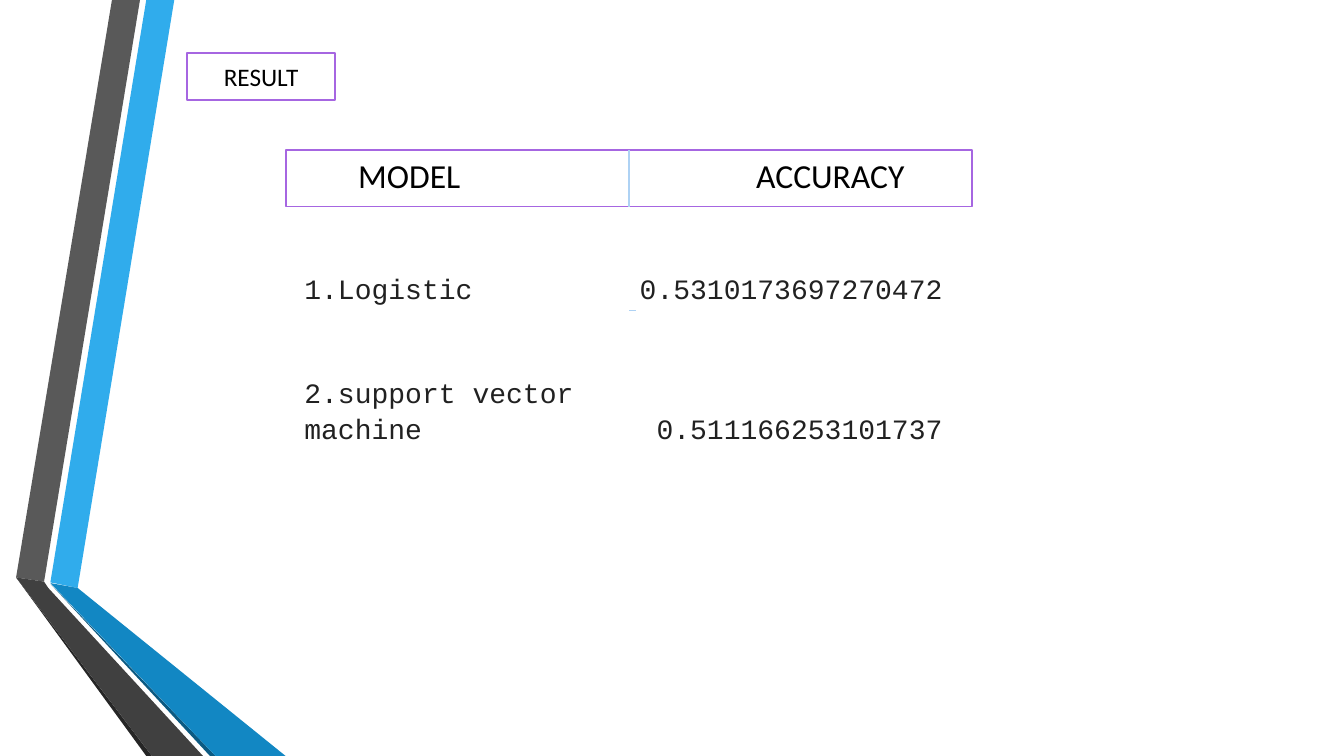
from dataclasses import dataclass

from lxml.etree import SubElement
from pptx import Presentation
from pptx.dml.color import RGBColor
from pptx.enum.shapes import MSO_CONNECTOR, MSO_SHAPE
from pptx.enum.text import MSO_ANCHOR, MSO_AUTO_SIZE, PP_ALIGN
from pptx.oxml.ns import qn
from pptx.util import Pt


@dataclass(frozen=True)
class Theme:
    white: str = "FFFFFF"
    black: str = "000000"
    code_text: str = "212121"
    outline: str = "A666E1"
    divider: str = "AED2F4"
    body_font: str = "Calibri"
    code_font: str = "Courier New"
    label_size: int = 18
    header_size: int = 24
    row_size: int = 20


theme = Theme()


def write(para, text, *, size, font=theme.body_font, color=theme.black,
          align=PP_ALIGN.LEFT, line=1.0, before=0, tabs=()):
    """Fill a paragraph; tabs holds (position in points, alignment) pairs."""
    para.text = text
    para.alignment = align
    para.line_spacing = line
    para.space_before = Pt(before)
    para.font.size = Pt(size)
    for span in para.runs:
        span.font.name = font
        span.font.size = Pt(size)
        span.font.color.rgb = RGBColor.from_string(color)
    if tabs:
        properties = para._p.get_or_add_pPr()
        tab_list = properties.makeelement(qn("a:tabLst"), {})
        for position, side in tabs:
            SubElement(tab_list, qn("a:tab"), pos=str(Pt(position)), algn=side)
        properties.insert_element_before(tab_list, "a:defRPr", "a:extLst")


deck = Presentation()
deck.slide_width, deck.slide_height = Pt(960), Pt(540)
page = deck.slides.add_slide(deck.slide_layouts[5])

# Folded ribbons along the left edge
ribbons = [
    ("30ACEC", [(36, 416), (55.5, 420), (124.5, 0), (104.5, 0)]),
    ("595959", [(100, 0), (80, 0), (11.5, 412.5), (31.5, 415.5)]),
    ("262626", [(11.5, 412.5), (104.5, 540), (108.5, 540)]),
    ("0C5A82", [(36, 417), (150, 540), (154, 540)]),
    ("1287C3", [(36, 416.5), (154, 540), (204, 540), (55.5, 420)]),
    ("404040", [(145, 540), (34.5, 420), (31.5, 415.5), (11.5, 412.5),
                (108.5, 540)]),
]
for color, corners in ribbons:
    points = [(Pt(x), Pt(y)) for x, y in corners]
    builder = page.shapes.build_freeform(*points[0])
    builder.add_line_segments(points[1:], close=True)
    ribbon = builder.convert_to_shape()
    ribbon.shadow.inherit = False
    ribbon.fill.solid()
    ribbon.fill.fore_color.rgb = RGBColor.from_string(color)
    ribbon.line.fill.background()

# Result label and table header
outlined = []
for kind, left, top, width, height in [
    (MSO_SHAPE.MATH_MINUS, 114.5, -17.3, 144, 144),
    (MSO_SHAPE.RECTANGLE, 204.5, 107.3, 489.6, 40.3),
]:
    box = page.shapes.add_shape(kind, Pt(left), Pt(top), Pt(width), Pt(height))
    box.shadow.inherit = False
    box.fill.solid()
    box.fill.fore_color.rgb = RGBColor.from_string(theme.white)
    box.line.color.rgb = RGBColor.from_string(theme.outline)
    box.line.width = Pt(1.25)
    outlined.append(box)
label, header = outlined
label.text_frame.vertical_anchor = MSO_ANCHOR.MIDDLE
write(label.text_frame.paragraphs[0], "RESULT", size=theme.label_size,
      align=PP_ALIGN.CENTER)
header.text_frame.vertical_anchor = MSO_ANCHOR.TOP
write(header.text_frame.paragraphs[0], "\tMODEL\tACCURACY",
      size=theme.header_size, tabs=[(44.3, "l"), (328.6, "l")])

# Model scores
title = page.shapes.title
title.left, title.top = Pt(210.2), Pt(188.6)
title.width, title.height = Pt(477.4), Pt(182.9)
frame = title.text_frame
frame.word_wrap = True
frame.auto_size = MSO_AUTO_SIZE.NONE
frame.vertical_anchor = MSO_ANCHOR.TOP
rows = ["1.Logistic\t0.5310173697270472",
        "2.support vector\vmachine\t0.511166253101737"]
for index, row in enumerate(rows):
    para = frame.add_paragraph() if index else frame.paragraphs[0]
    write(para, row, size=theme.row_size, font=theme.code_font,
          color=theme.code_text, line=1.07, before=48.5 * index,
          tabs=[(456, "r")])

# Column divider and short tick
divider, tick = [
    page.shapes.add_connector(MSO_CONNECTOR.STRAIGHT, Pt(449.3), Pt(top),
                              Pt(right), Pt(bottom))
    for top, right, bottom in [(107.3, 449.3, 147.6), (221.8, 454.3, 221.8)]
]
divider.begin_connect(header, 0)
divider.end_connect(header, 2)
for rule in (divider, tick):
    rule.line.color.rgb = RGBColor.from_string(theme.divider)
    rule.line.width = Pt(0.75)
    SubElement(rule._element.spPr, qn("a:effectLst"))

deck.save("out.pptx")
